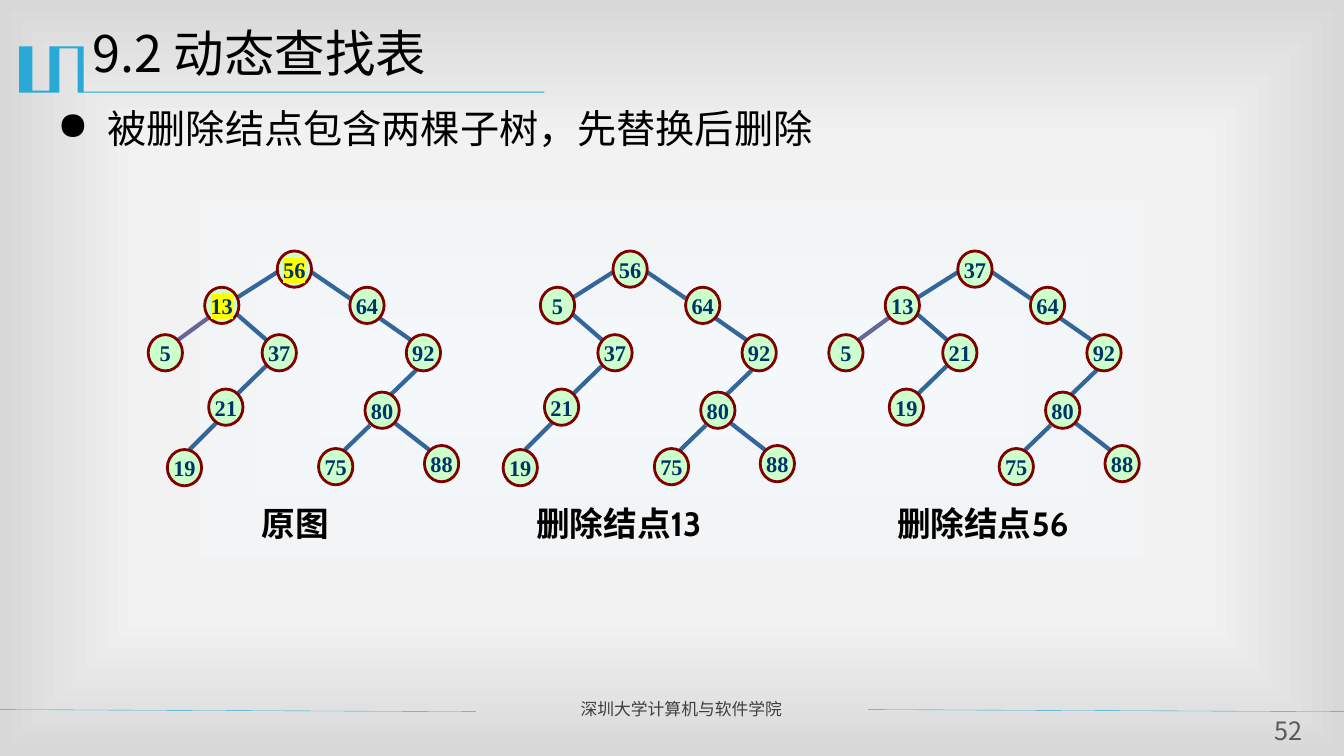
from lxml import etree
from pptx import Presentation, util as u
from pptx.dml.color import RGBColor
from pptx.enum import shapes, text
from pptx.oxml import ns

# Content
TITLE = "9.2 动态查找表"
POINT = "被删除结点包含两棵子树，先替换后删除"
FOOTER = "深圳大学计算机与软件学院"
PAGE = "52"

# Keys spell the route from the root: L = left child, R = right child
RIGHT_SIDE = {"R": "64", "RR": "92", "RRL": "80", "RRLL": "75", "RRLR": "88"}
TREES = [
    dict(x=2.75, caption="原图", box=(2.22, 1.42), align="CENTER", marked=("", "L"),
         keys={"": "56", "L": "13", "LL": "5", "LR": "37", "LRL": "21", "LRLL": "19"}),
    dict(x=6.08, caption="删除结点13", box=(5.22, 2.08), align="LEFT", marked=(),
         keys={"": "56", "L": "5", "LR": "37", "LRL": "21", "LRLL": "19"}),
    dict(x=9.5, caption="删除结点56", box=(8.8, 2), align="LEFT", marked=(),
         keys={"": "37", "L": "13", "LL": "5", "LR": "21", "LRL": "19"}),
]

# Node corners, x measured from the root's left edge
NODE_AT = {
    "": (0, 2.49), "L": (-0.72, 2.85), "R": (0.72, 2.85),
    "LL": (-1.28, 3.32), "LR": (-0.15, 3.32), "RR": (1.28, 3.32),
    "LRL": (-0.68, 3.86), "RRL": (0.87, 3.89),
    "LRLL": (-1.09, 4.46), "RRLL": (0.41, 4.45), "RRLR": (1.46, 4.42),
}
# Edge from the parent down to the named child, same x origin
EDGE_AT = {
    "L": (0, 2.7, -0.41, 2.96), "R": (0.34, 2.7, 0.72, 2.96),
    "LL": (-0.68, 3.15, -0.98, 3.37), "LR": (-0.41, 3.11, -0.11, 3.37),
    "RR": (1.02, 3.16, 1.32, 3.37), "LRL": (-0.11, 3.63, -0.48, 3.99),
    "RRL": (1.38, 3.67, 1.1, 3.94), "LRLL": (-0.56, 4.15, -0.87, 4.46),
    "RRLL": (0.92, 4.22, 0.63, 4.5), "RRLR": (1.17, 4.2, 1.53, 4.48),
}
NODE_W, NODE_H = 0.34, 0.36

# Header ornament outline, in hundredths of an inch
ORNAMENT = [(82, 46), (83, 46), (83, 91), (540, 91), (540, 92), (77, 92), (77, 48),
            (59, 48), (59, 92), (19, 92), (19, 46), (32, 46), (32, 90), (49, 90), (49, 46)]
FOOTER_RULES = [(-0.01, 7.04, 4.72, 7.06), (8.61, 7.04, 13.33, 7.06)]


class Theme:
    accent, edge, left_edge = "28A9D6", "336699", "666699"
    node, ring, mark = "CCFFCC", "800000", "FFFF00"
    backdrop = [(0, "F4F8FB"), (63, "F2F2F2"), (100, "D8D8D8")]
    sans = "Noto Sans CJK SC"
    title = dict(size=36, name=sans, color="000000")
    body = dict(size=28, name=sans, color="000000")
    footer = dict(size=12, name=sans, color="3F3F3F")
    page = dict(size=18, name=sans, color="595959")
    key = dict(size=16, name="Times New Roman", color="003366", bold=True)
    caption = dict(size=24, name="Cabin", color="000000", bold=True)


def add_xml(parent, tag, **attrs):
    return etree.SubElement(parent, ns.qn(tag), attrs)


def write(tf, words, style, align="LEFT", spacing=0.9):
    p = tf.paragraphs[0]
    p.alignment = getattr(text.PP_ALIGN, align)
    p.line_spacing = spacing
    r = p.add_run()
    r.text = words
    values = dict(style, size=u.Pt(style["size"]))
    r.font.color.rgb = RGBColor.from_string(values.pop("color"))
    for name, value in values.items():
        setattr(r.font, name, value)
    add_xml(r.font._element, "a:ea", typeface=style["name"])
    return p, r


def add_text(s, box, words, style, align="LEFT", **frame):
    tf = s.shapes.add_textbox(*map(u.Inches, box)).text_frame
    for name, value in dict(word_wrap=True, **frame).items():
        setattr(tf, name, value)
    return write(tf, words, style, align)[0]


def add_line(s, ends, color, width):
    sp = s.shapes.add_connector(shapes.MSO_CONNECTOR.STRAIGHT, *map(u.Inches, ends))
    sp.line.color.rgb = RGBColor.from_string(color)
    sp.line.width = u.Pt(width)
    add_xml(sp._element.spPr, "a:effectLst")


def add_node(s, x, y, key, marked):
    sp = s.shapes.add_shape(shapes.MSO_SHAPE.OVAL, *map(u.Inches, (x, y, NODE_W, NODE_H)))
    sp.shadow.inherit = False
    sp.fill.solid()
    sp.fill.fore_color.rgb = RGBColor.from_string(Theme.node)
    sp.line.color.rgb = RGBColor.from_string(Theme.ring)
    sp.line.width = u.Pt(2)
    sp.text_frame.word_wrap = False
    sp.text_frame.vertical_anchor = text.MSO_ANCHOR.MIDDLE
    r = write(sp.text_frame, key, Theme.key, "CENTER", 1.0)[1]
    if marked:
        rPr = r.font._element
        highlight = add_xml(rPr, "a:highlight")
        add_xml(highlight, "a:srgbClr", val=Theme.mark)
        rPr.find(ns.qn("a:solidFill")).addnext(highlight)


def add_tree(s, tree):
    x0 = tree["x"]
    keys = {**tree["keys"], **RIGHT_SIDE}
    for route in keys:
        if route:
            x1, y1, x2, y2 = EDGE_AT[route]
            color = Theme.left_edge if route == "LL" else Theme.edge
            add_line(s, (x0 + x1, y1, x0 + x2, y2), color, 3)
    for route, key in keys.items():
        x, y = NODE_AT[route]
        add_node(s, x0 + x, y, key, route in tree["marked"])
    left, width = tree["box"]
    add_text(s, (left, 4.99, width, 0.5), tree["caption"], Theme.caption, tree["align"])


def paint_background(s):
    s.background.fill.gradient()
    grad = s.element.find(".//" + ns.qn("a:gradFill"))
    for child in list(grad):
        grad.remove(child)
    stops = add_xml(grad, "a:gsLst")
    for pos, color in Theme.backdrop:
        add_xml(add_xml(stops, "a:gs", pos=str(pos * 1000)), "a:srgbClr", val=color)
    rect = add_xml(grad, "a:path", path="rect")
    add_xml(rect, "a:fillToRect", **dict.fromkeys("ltrb", "50000"))


def main():
    prs = Presentation()
    prs.slide_width, prs.slide_height = u.Inches(13.33), u.Inches(7.5)
    s = prs.slides.add_slide(prs.slide_layouts[6])
    paint_background(s)

    # Header ornament and footer
    outline = s.shapes.build_freeform(*ORNAMENT[0], scale=u.Inches(0.01))
    outline.add_line_segments(ORNAMENT[1:], close=True)
    sp = outline.convert_to_shape()
    sp.shadow.inherit = False
    sp.fill.solid()
    sp.fill.fore_color.rgb = RGBColor.from_string(Theme.accent)
    sp.line.fill.background()
    for ends in FOOTER_RULES:
        add_line(s, ends, Theme.accent, 0.25)
    add_text(s, (5.66, 6.91, 2.85, 0.3), FOOTER, Theme.footer)
    add_text(s, (12.48, 7.13, 0.59, 0.31), PAGE, Theme.page, "CENTER",
             margin_left=0, margin_top=0, margin_right=0, margin_bottom=0)

    # Title and bullet point
    add_text(s, (0.82, 0.24, 12, 0.87), TITLE, Theme.title)
    p = add_text(s, (0.47, 1.04, 12.13, 4.38), POINT, Theme.body)
    pPr = p._p.get_or_add_pPr()
    pPr.set("marL", str(u.Inches(0.5)))
    pPr.set("indent", str(u.Inches(-0.5)))
    add_xml(pPr, "a:buChar", char="●")

    # The three search trees
    for tree in TREES:
        add_tree(s, tree)

    prs.save("out.pptx")


if __name__ == "__main__":
    main()
